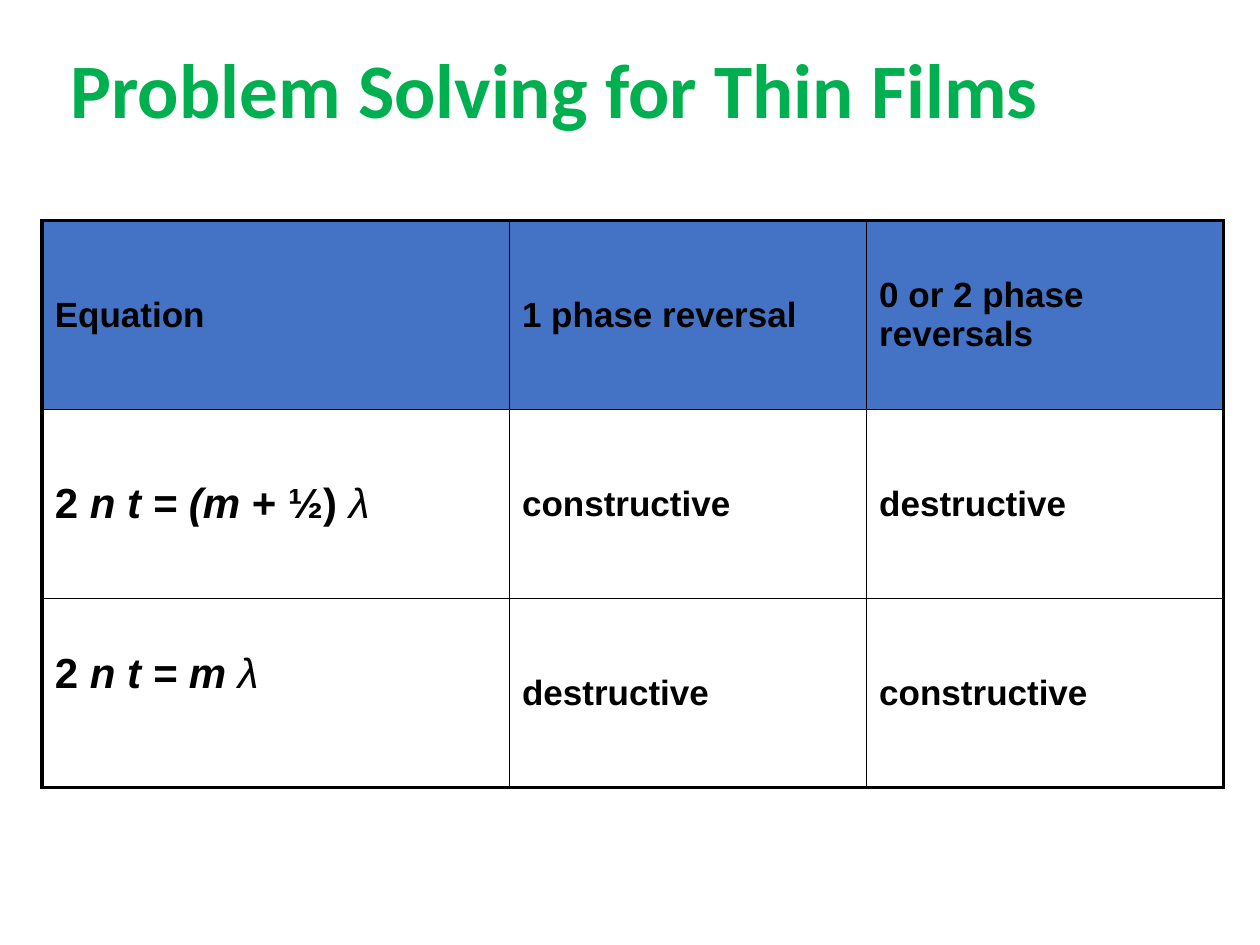
from lxml import etree
from pptx import Presentation
from pptx.dml.color import RGBColor
from pptx.enum.text import MSO_ANCHOR
from pptx.oxml.ns import qn
from pptx.util import Cm, Pt

MIDDLE = MSO_ANCHOR.MIDDLE
GREEN = RGBColor(0x00, 0xB0, 0x50)
BLUE = RGBColor(0x44, 0x72, 0xC4)
BLACK = RGBColor(0, 0, 0)
THIN, THICK = Pt(1), Pt(2.25)

# Each cell is a list of (text, format) runs.
BIG, VAR = {"size": 24}, {"size": 24, "italic": True}
WAVE = ("λ", {"size": 24, "italic": True, "bold": False})
ROWS = [
    [[("Equation", {})], [("1 phase reversal", {})], [("0 or 2 phase reversals", {})]],
    [[("2 ", BIG), ("n t = (m", VAR), (" + ½) ", BIG), WAVE],
     [("constructive", {})], [("destructive", {})]],
    [[("2 ", BIG), ("n t = m ", VAR), WAVE],
     [("destructive", {})], [("constructive", {})]],
]


def add_text(para, text, size=20, name="Arial", color=BLACK, bold=True, italic=False):
    run = para.add_run()
    run.text = text
    font = run.font
    font.size, font.name = Pt(size), name
    font.bold, font.italic = bold, italic
    font.color.rgb = color


def set_edges(cell, widths):
    """Draw black cell borders; widths maps L, R, T and B to line widths."""
    props = cell._tc.get_or_add_tcPr()
    for place, (side, width) in enumerate(widths.items()):
        line = etree.Element(qn(f"a:ln{side}"), w=str(width))
        fill = etree.SubElement(line, qn("a:solidFill"))
        etree.SubElement(fill, qn("a:srgbClr"), val=str(BLACK))
        props.insert(place, line)


def add_title(slide, left, top, width, height):
    frame = slide.shapes.add_textbox(left, top, width, height).text_frame
    frame.word_wrap = True
    frame.vertical_anchor = MIDDLE
    para = frame.paragraphs[0]
    para.line_spacing = 0.9
    add_text(para, "Problem Solving for Thin Films", size=44, name="Calibri", color=GREEN)


def add_grid(slide, left, top, width, height):
    count, last = len(ROWS), len(ROWS[0]) - 1
    table = slide.shapes.add_table(count, last + 1, left, top, width, height).table
    side = Cm(7.2)
    table.columns[0].width = width - last * side
    for col in range(1, last + 1):
        table.columns[col].width = side
    for r, row in enumerate(ROWS):
        table.rows[r].height = height // count
        for c, runs in enumerate(row):
            cell = table.cell(r, c)
            cell.vertical_anchor = MIDDLE
            for text, style in runs:
                add_text(cell.text_frame.paragraphs[0], text, **style)
            if r == 0:
                cell.fill.solid()
                cell.fill.fore_color.rgb = BLUE
            else:
                cell.fill.background()
            set_edges(cell, {
                "L": THICK if c == 0 else THIN,
                "R": THICK if c == last else THIN,
                "T": THICK if r == 0 else THIN,
                "B": THICK if r == count - 1 else THIN,
            })
    # The last equation sits a little above the middle of its row.
    table.cell(count - 1, 0).margin_bottom = Cm(0.9)


def main():
    deck = Presentation()
    deck.slide_width, deck.slide_height = Cm(25.4), Cm(19.05)
    slide = deck.slides.add_slide(deck.slide_layouts[6])
    add_title(slide, Cm(1.17), Cm(0.81), Cm(23.24), Cm(2.16))
    add_grid(slide, Cm(0.85), Cm(4.45), Cm(23.82), Cm(11.43))
    deck.save("out.pptx")


if __name__ == "__main__":
    main()
